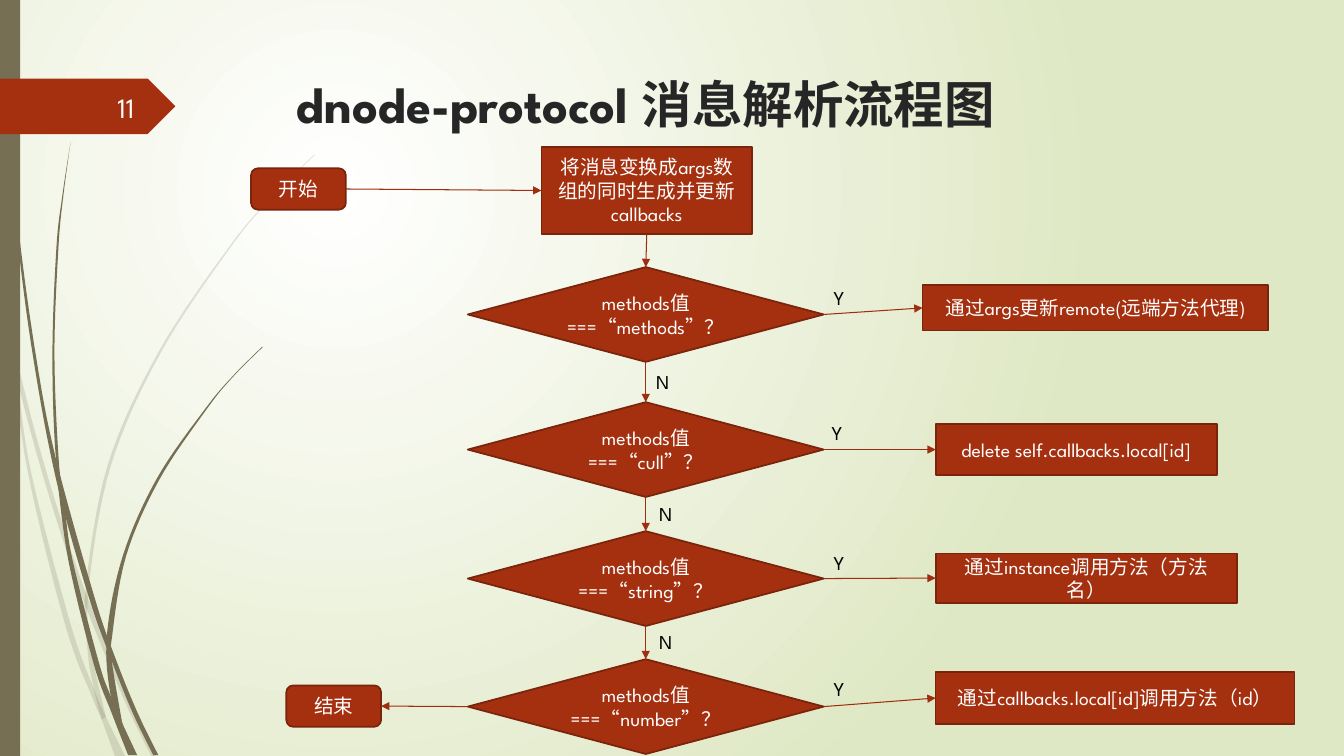
import pptx
import pptx.util
import pptx.dml.color
import pptx.enum.dml
import pptx.enum.shapes
import pptx.enum.text
import pptx.oxml
import pptx.oxml.ns

Inches = pptx.util.Inches
Pt = pptx.util.Pt
SHAPES = pptx.enum.shapes.MSO_SHAPE
ALIGN = pptx.enum.text.PP_ALIGN
ANCHOR = pptx.enum.text.MSO_ANCHOR
AUTO_SIZE = pptx.enum.text.MSO_AUTO_SIZE
FONT = "League Spartan"
TOP, LEFT, BOTTOM, RIGHT = range(4)

COLORS = {
    "box": "A53010", "border": "7A240C", "arrow": "9E2E0F", "stem": "766F54",
    "title": "262626", "label": "000000", "white": "FFFFFF", "number": "FEFFFF",
    "center": "FFFFFF", "edge": "DFE8C4",
}

TITLE = "dnode-protocol 消息解析流程图"
START = ("开始", (2.49, 1.67, 0.94, 0.41))
PREPARE = ("将消息变换成args数组的同时生成并更新callbacks", (5.37, 1.46, 2.09, 0.86))
END = ("结束", (2.84, 6.8, 0.94, 0.41))
DIAMOND_LEFT, DIAMOND_WIDTH, DIAMOND_HEIGHT = 4.64, 3.53, 0.94
STEPS = [
    ("methods", 2.65, "通过args更新remote(远端方法代理)", (9.15, 2.83, 3.43, 0.45)),
    ("cull", 3.99, "delete self.callbacks.local[id]", (9.28, 4.21, 2.79, 0.5)),
    ("string", 5.27, "通过instance调用方法（方法名）", (9.28, 5.49, 2.99, 0.49)),
    ("number", 6.54, "通过callbacks.local[id]调用方法（id）", (9.28, 6.67, 3.56, 0.51)),
]
LABELS = {
    "Y": [(8.17, 2.79), (8.15, 4.13), (8.17, 5.42), (8.17, 6.67)],
    "N": [(6.41, 3.62), (6.44, 4.93), (6.44, 6.2)],
}

PALE_STEMS = [
    ([(0, 2.82), (0.14, 3.45), (0.36, 4.33), (0.62, 5.2), (0.88, 5.96), (1.27, 6.92), (1.55, 7.5)],
     [(0, 2.99), (0.17, 3.76), (0.36, 4.49), (0.58, 5.22), (0.84, 5.99), (1.23, 6.94), (1.5, 7.5)]),
    ([(0.11, 3.5), (0.17, 3.76), (0.31, 4.69), (0.7, 6.19), (0.93, 6.83), (1.05, 7.11), (1.24, 7.5)],
     [(0.11, 3.5), (0.28, 4.7), (0.65, 6.21), (0.92, 6.93), (1.01, 7.14), (1.14, 7.5)]),
    ([(3.12, 1.53), (2.68, 1.97), (2.28, 2.44), (1.58, 3.48), (1.07, 4.61), (0.85, 5.84),
      (0.87, 6.46), (0.93, 6.83), (1.01, 7.14)],
     [(3.12, 1.54), (2.68, 1.98), (2.29, 2.45), (1.6, 3.49), (1.1, 4.62), (0.88, 5.84),
      (0.91, 6.46), (1.05, 7.11)]),
]
DARK_STEMS = [
    ([(0.04, 0), (0.08, 1.09), (0.19, 2.32), (0.36, 3.55), (0.55, 4.53), (0.93, 5.9),
      (1.13, 6.49), (1.36, 7.06), (1.57, 7.49)],
     [(0.03, 0), (0.07, 1.1), (0.17, 2.33), (0.33, 3.55), (0.56, 4.77), (0.88, 5.92),
      (1.11, 6.56), (1.32, 7.08), (1.52, 7.49)]),
    ([(0.57, 4.77), (0.64, 5.05), (0.72, 5.56), (0.98, 6.57), (1.1, 6.91), (1.22, 7.19), (1.36, 7.49)],
     [(0.57, 4.77), (0.68, 5.57), (0.93, 6.59), (1.11, 7.08), (1.27, 7.49)]),
    ([(0.7, 1.41), (0.62, 1.93), (0.56, 2.45), (0.52, 3.49), (0.55, 4.49), (0.64, 5.05)],
     [(0.7, 1.41), (0.63, 1.93), (0.58, 2.45), (0.54, 3.49), (0.58, 4.53), (0.64, 5.05)]),
    ([(2.6, 3.44), (2.31, 3.73), (2.04, 4.05), (1.56, 4.74), (1.22, 5.51), (1.06, 6.31),
      (1.1, 6.91), (1.22, 7.19)],
     [(2.61, 3.44), (2.31, 3.74), (2.05, 4.06), (1.58, 4.76), (1.25, 5.52), (1.11, 6.33),
      (1.11, 6.56), (1.21, 7.16)]),
]


def color(name):
    return pptx.dml.color.RGBColor.from_string(COLORS[name])


def add_run(frame, text, size, color_name, align=ALIGN.LEFT, bold=False):
    paragraph = frame.paragraphs[0]
    paragraph.alignment = align
    run = paragraph.add_run()
    run.text = text
    run.font.name = FONT
    run.font.size = Pt(size)
    run.font.bold = bold
    run.font.color.rgb = color(color_name)


def paint(shape, fill, border=None):
    shape.shadow.inherit = False
    shape.fill.solid()
    shape.fill.fore_color.rgb = color(fill)
    if border:
        shape.line.color.rgb = color(border)
        shape.line.width = Pt(1.25)
    else:
        shape.line.fill.background()


def add_preset(kind, box, fill, border=None):
    shape = slide.shapes.add_shape(kind, *map(Inches, box))
    paint(shape, fill, border)
    return shape


def add_node(kind, text, box):
    shape = add_preset(kind, box, "box", "border")
    shape.text_frame.word_wrap = True
    shape.text_frame.vertical_anchor = ANCHOR.MIDDLE
    add_run(shape.text_frame, text, 14, "white", ALIGN.CENTER)
    return shape


def add_arrow(source, source_side, target, target_side):
    arrow = slide.shapes.add_connector(pptx.enum.shapes.MSO_CONNECTOR.STRAIGHT, 0, 0, 0, 0)
    arrow.begin_connect(source, source_side)
    arrow.end_connect(target, target_side)
    arrow.line.color.rgb = color("arrow")
    arrow.line.width = Pt(0.75)
    line = arrow.line._get_or_add_ln()
    pptx.oxml.ns.qn("a:tailEnd")
    line.append(pptx.oxml.parse_xml(f'<a:tailEnd {NAMESPACE} type="triangle"/>'))
    arrow._element.spPr.append(pptx.oxml.parse_xml(f"<a:effectLst {NAMESPACE}/>"))


def add_text_box(text, box, size, color_name, align=ALIGN.LEFT):
    frame = slide.shapes.add_textbox(*map(Inches, box)).text_frame
    add_run(frame, text, size, color_name, align)
    return frame


def smooth_curve(points, samples=8):
    padded = [points[0], *points, points[-1]]
    curve = [points[0]]
    for a, b, c, d in zip(padded, padded[1:], padded[2:], padded[3:]):
        for step in range(1, samples + 1):
            t = step / samples
            curve.append(tuple(
                q + 0.5 * t * (r - p + t * (2 * p - 5 * q + 4 * r - s + t * (3 * (q - r) + s - p)))
                for p, q, r, s in zip(a, b, c, d)))
    return curve


def add_stem(edges, opacity):
    right, left = map(smooth_curve, edges)
    outline = [(Inches(x), Inches(y)) for x, y in right + left[::-1]]
    builder = slide.shapes.build_freeform(*outline[0])
    builder.add_line_segments(outline[1:], close=True)
    stem = builder.convert_to_shape()
    paint(stem, "stem")
    if opacity < 100:
        fill_color = stem._element.spPr.find(".//" + pptx.oxml.ns.qn("a:srgbClr"))
        fill_color.append(pptx.oxml.parse_xml(f'<a:alpha {NAMESPACE} val="{opacity * 1000}"/>'))


NAMESPACE = pptx.oxml.ns.nsdecls("a")
presentation = pptx.Presentation()
presentation.slide_width = Inches(13.33)
presentation.slide_height = Inches(7.5)
slide = presentation.slides.add_slide(presentation.slide_layouts[5])

slide.background.fill.solid()
background = slide._element.cSld.find(".//" + pptx.oxml.ns.qn("p:bgPr"))
background.replace(background[0], pptx.oxml.parse_xml(
    f'<a:gradFill {NAMESPACE} rotWithShape="1"><a:gsLst>'
    f'<a:gs pos="0"><a:srgbClr val="{COLORS["center"]}"/></a:gs>'
    f'<a:gs pos="100000"><a:srgbClr val="{COLORS["edge"]}"/></a:gs></a:gsLst>'
    '<a:path path="circle"><a:fillToRect l="50000" t="50000" r="100000" b="100000"/></a:path>'
    '</a:gradFill>'))

for stems, opacity in ((PALE_STEMS, 20), (DARK_STEMS, 100)):
    for edges in stems:
        add_stem(edges, opacity)
add_preset(SHAPES.RECTANGLE, (0, 0, 0.2, 7.5), "stem")
add_preset(SHAPES.PENTAGON, (0, 0.78, 1.74, 0.55), "box")
number = add_text_box("11", (0.58, 0.86, 0.85, 0.4), 20, "number", ALIGN.RIGHT)
number.word_wrap = True
number.vertical_anchor = ANCHOR.MIDDLE

title = slide.shapes.title
title.left, title.top, title.width, title.height = map(Inches, (2.84, 0.68, 9.75, 1.4))
title.text_frame.vertical_anchor = ANCHOR.TOP
title.text_frame.auto_size = AUTO_SIZE.NONE
add_run(title.text_frame, TITLE, 36, "title", bold=True)

start = add_node(SHAPES.ROUNDED_RECTANGLE, *START)
previous = add_node(SHAPES.RECTANGLE, *PREPARE)
add_arrow(start, RIGHT, previous, LEFT)
for value, top, action_text, action_box in STEPS:
    decision = add_node(SHAPES.DIAMOND, f"methods值===“{value}”？",
                        (DIAMOND_LEFT, top, DIAMOND_WIDTH, DIAMOND_HEIGHT))
    action = add_node(SHAPES.RECTANGLE, action_text, action_box)
    add_arrow(previous, BOTTOM, decision, TOP)
    add_arrow(decision, RIGHT, action, LEFT)
    previous = decision
end = add_node(SHAPES.ROUNDED_RECTANGLE, *END)
add_arrow(previous, LEFT, end, RIGHT)

for text, places in LABELS.items():
    for left, top in places:
        label = add_text_box(text, (left, top, 0.33, 0.34), 14, "label")
        label.word_wrap = False
        label.auto_size = AUTO_SIZE.SHAPE_TO_FIT_TEXT

presentation.save("out.pptx")
